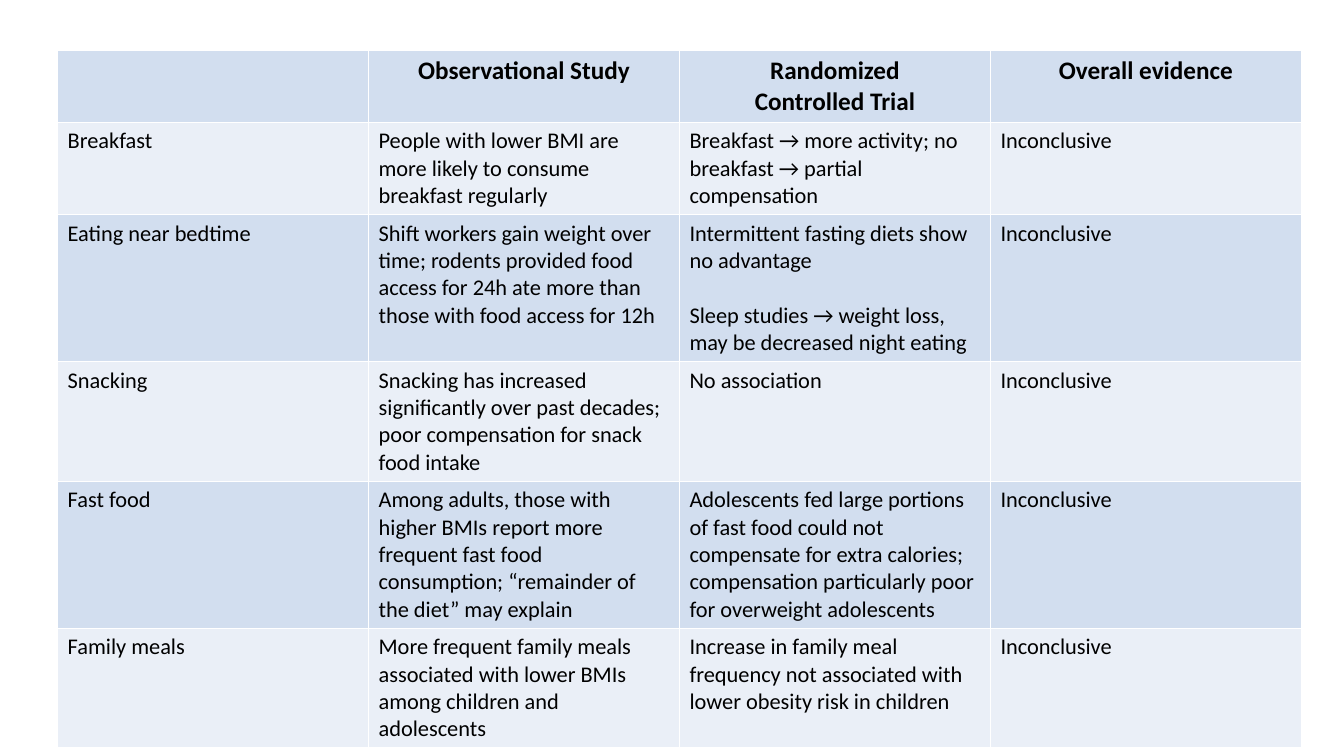
from lxml.etree import SubElement
from pptx import Presentation
from pptx.dml.color import RGBColor
from pptx.enum.text import PP_ALIGN
from pptx.oxml.ns import qn
from pptx.util import Pt

BLACK = RGBColor(0x00, 0x00, 0x00)
WHITE = RGBColor(0xFF, 0xFF, 0xFF)
BAND_FILLS = [RGBColor(0xD2, 0xDE, 0xEF), RGBColor(0xEA, 0xEF, 0xF7)]
FONT = "Calibri"
HEADER_SIZE, BODY_SIZE = Pt(18), Pt(16)
STUDY_GAP = Pt(19.5)
COLUMN_WIDTH, ROW_HEIGHT = Pt(222.1), Pt(29.2)
TABLE_LEFT, TABLE_TOP, TABLE_HEIGHT = Pt(41.2), Pt(36.3), Pt(489.6)

# Each line break inside a cell starts a new paragraph.
EVIDENCE = [
    ["", "Observational Study", "Randomized\nControlled Trial", "Overall evidence"],
    ["Breakfast",
     "People with lower BMI are more likely to consume breakfast regularly",
     "Breakfast → more activity; no breakfast → partial compensation",
     "Inconclusive"],
    ["Eating near bedtime",
     "Shift workers gain weight over time; rodents provided food access for 24h "
     "ate more than those with food access for 12h",
     "Intermittent fasting diets show no advantage\n"
     "Sleep studies → weight loss, may be decreased night eating",
     "Inconclusive"],
    ["Snacking",
     "Snacking has increased significantly over past decades; poor compensation "
     "for snack food intake",
     "No association",
     "Inconclusive"],
    ["Fast food",
     "Among adults, those with higher BMIs report more frequent fast food "
     "consumption; “remainder of the diet” may explain",
     "Adolescents fed large portions of fast food could not compensate for extra "
     "calories; compensation particularly poor for overweight adolescents",
     "Inconclusive"],
    ["Family meals",
     "More frequent family meals associated with lower BMIs among children and "
     "adolescents",
     "Increase in family meal frequency not associated with lower obesity risk in "
     "children",
     "Inconclusive"],
]


def set_borders(cell, color, width):
    properties = cell._tc.get_or_add_tcPr()
    for side in ("a:lnL", "a:lnR", "a:lnT", "a:lnB"):
        line = SubElement(properties, qn(side), w=str(width))
        fill = SubElement(line, qn("a:solidFill"))
        SubElement(fill, qn("a:srgbClr"), val=str(color))


def set_text(cell, text, is_header):
    cell.text_frame.text = text
    for index, paragraph in enumerate(cell.text_frame.paragraphs):
        paragraph.alignment = PP_ALIGN.CENTER if is_header else PP_ALIGN.LEFT
        if index and not is_header:
            paragraph.space_before = STUDY_GAP
        font = paragraph.font
        font.name = FONT
        font.size = HEADER_SIZE if is_header else BODY_SIZE
        font.bold = is_header
        font.color.rgb = BLACK


def add_evidence_table(slide, rows):
    column_count = len(rows[0])
    frame = slide.shapes.add_table(
        len(rows), column_count, TABLE_LEFT, TABLE_TOP,
        COLUMN_WIDTH * column_count, TABLE_HEIGHT)
    table = frame.table
    table.horz_banding = False
    for row_index, texts in enumerate(rows):
        table.rows[row_index].height = ROW_HEIGHT
        for column_index, text in enumerate(texts):
            cell = table.cell(row_index, column_index)
            set_borders(cell, WHITE, Pt(1))
            cell.fill.solid()
            cell.fill.fore_color.rgb = BAND_FILLS[row_index % 2]
            set_text(cell, text, is_header=row_index == 0)
    frame.height = TABLE_HEIGHT


def main():
    presentation = Presentation()
    presentation.slide_width, presentation.slide_height = Pt(960), Pt(540)
    slide = presentation.slides.add_slide(presentation.slide_layouts[6])
    add_evidence_table(slide, EVIDENCE)
    presentation.save("out.pptx")


if __name__ == "__main__":
    main()
